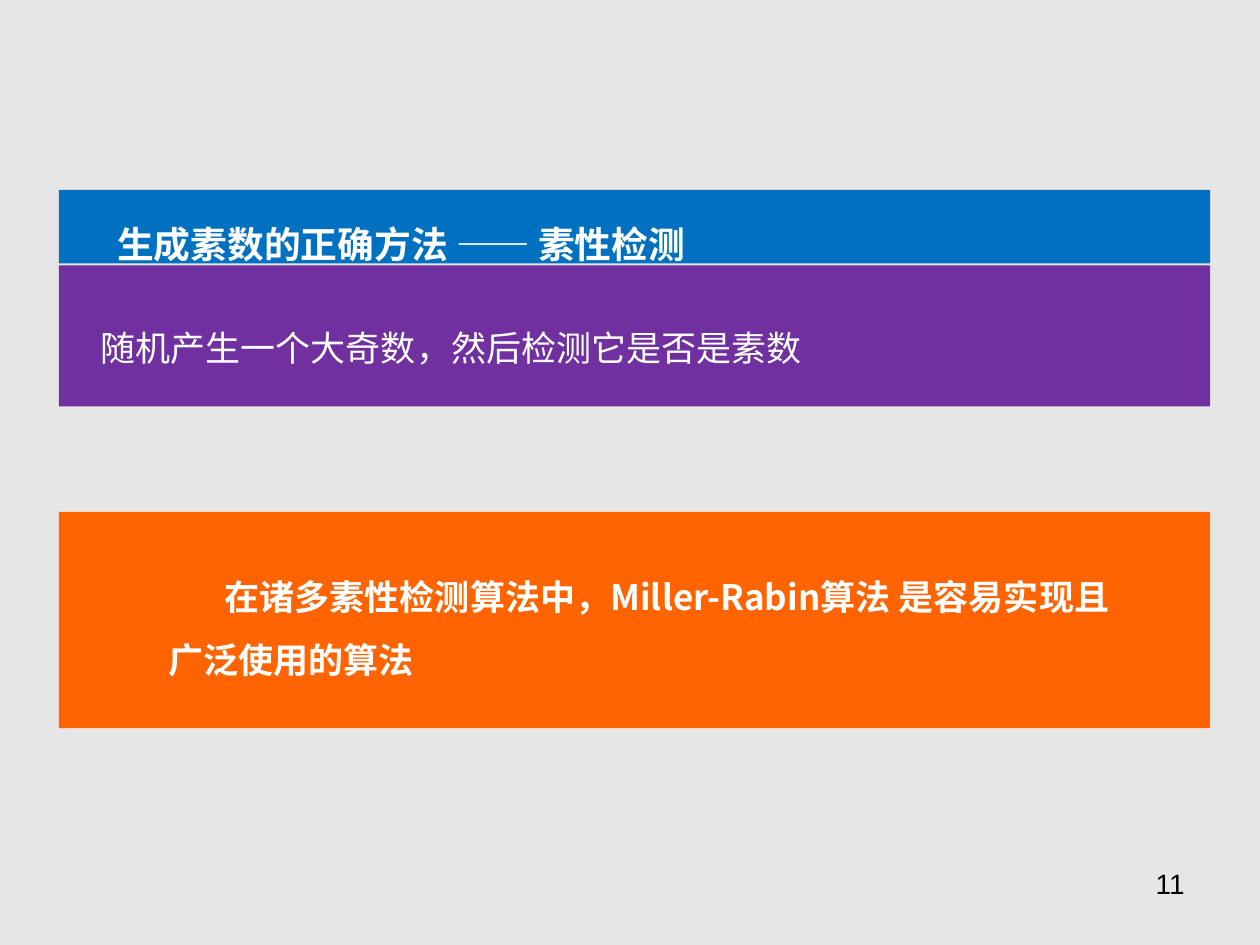
from lxml.etree import SubElement
from pptx import Presentation
from pptx.dml.color import RGBColor
from pptx.enum.shapes import MSO_SHAPE as Shape
from pptx.enum.text import MSO_ANCHOR as Anchor, PP_ALIGN as Align
from pptx.oxml.ns import qn
from pptx.util import Pt

CJK = "Noto Sans CJK SC"


def rgb(code):
    return RGBColor.from_string(code)


def add_text(text, left, top, width, height, size=20, font=CJK, color="FFFFFF",
             bold=False, spacing=1.5, indent=0, align=Align.LEFT,
             anchor=Anchor.TOP):
    frame = slide.shapes.add_textbox(
        Pt(left), Pt(top), Pt(width), Pt(height)).text_frame
    frame.word_wrap = True
    frame.vertical_anchor = anchor
    paragraph = frame.paragraphs[0]
    paragraph.alignment = align
    paragraph.line_spacing = spacing
    if indent:
        paragraph._p.get_or_add_pPr().set("indent", str(Pt(indent)))
    run = paragraph.add_run()
    run.text = text
    run.font.size = Pt(size)
    run.font.bold = bold
    run.font.color.rgb = rgb(color)
    run.font.name = font
    # Chinese characters take their font from the East Asian slot
    SubElement(run._r.get_or_add_rPr(), qn("a:ea"), typeface=font)


deck = Presentation()
deck.slide_width, deck.slide_height = Pt(720), Pt(540)
slide = deck.slides.add_slide(deck.slide_layouts[6])
slide.background.fill.solid()
slide.background.fill.fore_color.rgb = rgb("E7E6E6")

# Colour bands: method, its heading, recommended algorithm
for top, height, color in [(151.6, 80.6, "7030A0"),
                           (108.5, 42, "0070C0"),
                           (292.5, 123.6, "FF6400")]:
    band = slide.shapes.add_shape(
        Shape.RECTANGLE, Pt(33.6), Pt(top), Pt(658), Pt(height))
    band.shadow.inherit = False
    band.fill.solid()
    band.fill.fore_color.rgb = rgb(color)
    band.line.fill.background()

# Band texts
add_text("随机产生一个大奇数，然后检测它是否是素数",
         50.4, 159.1, 628.6, 55.4, spacing=2)
add_text("生成素数的正确方法 —— 素性检测",
         59.8, 110.9, 606.2, 45.4, size=21, bold=True)
add_text("在诸多素性检测算法中，Miller-Rabin算法 是容易实现且广泛使用的算法",
         89.3, 313.2, 569.5, 79.2, bold=True, indent=32)

# Page number
add_text("11", 516.2, 491.8, 167.8, 37.4, size=16, font="Arial",
         color="000000", spacing=1, align=Align.RIGHT)

deck.save("out.pptx")
